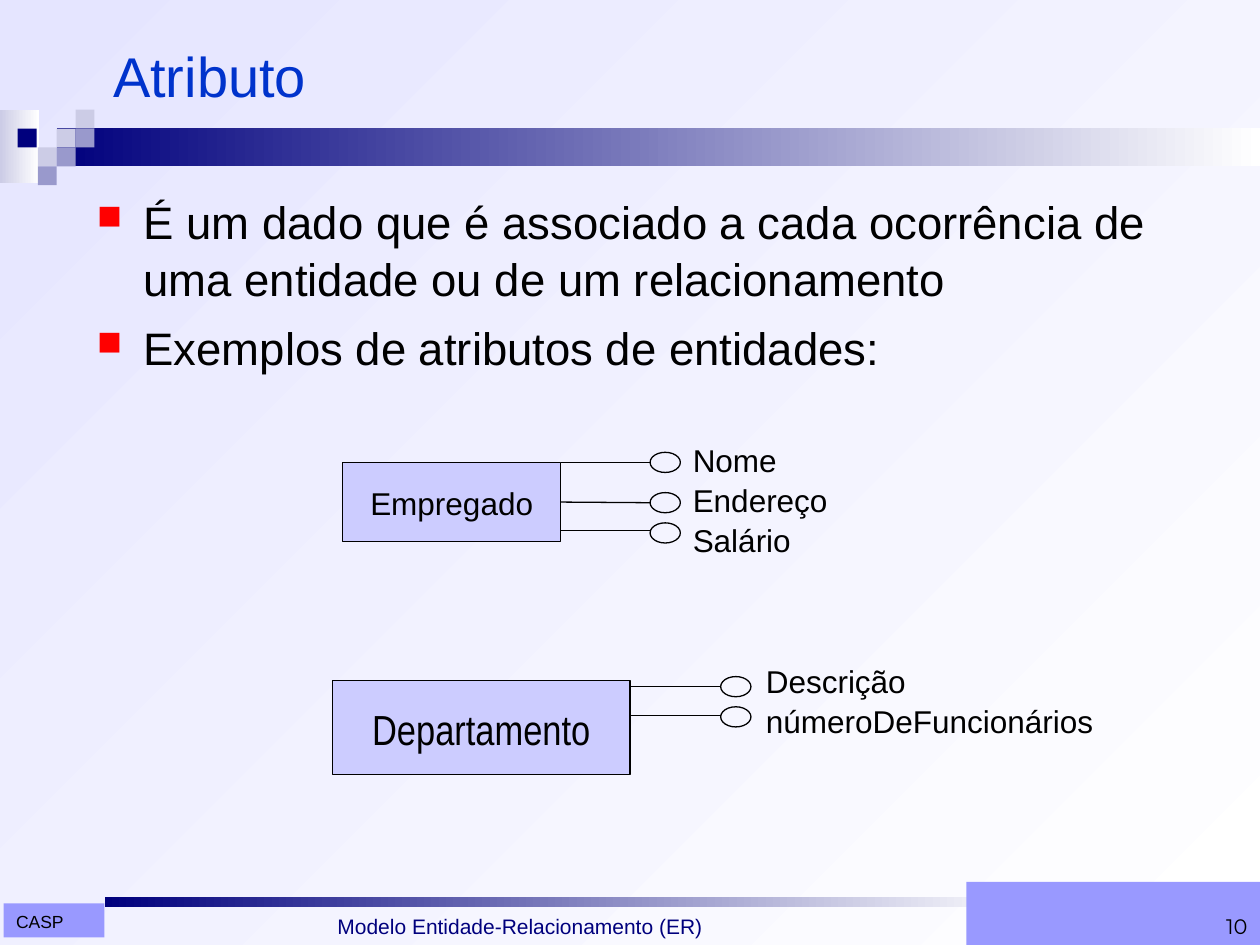
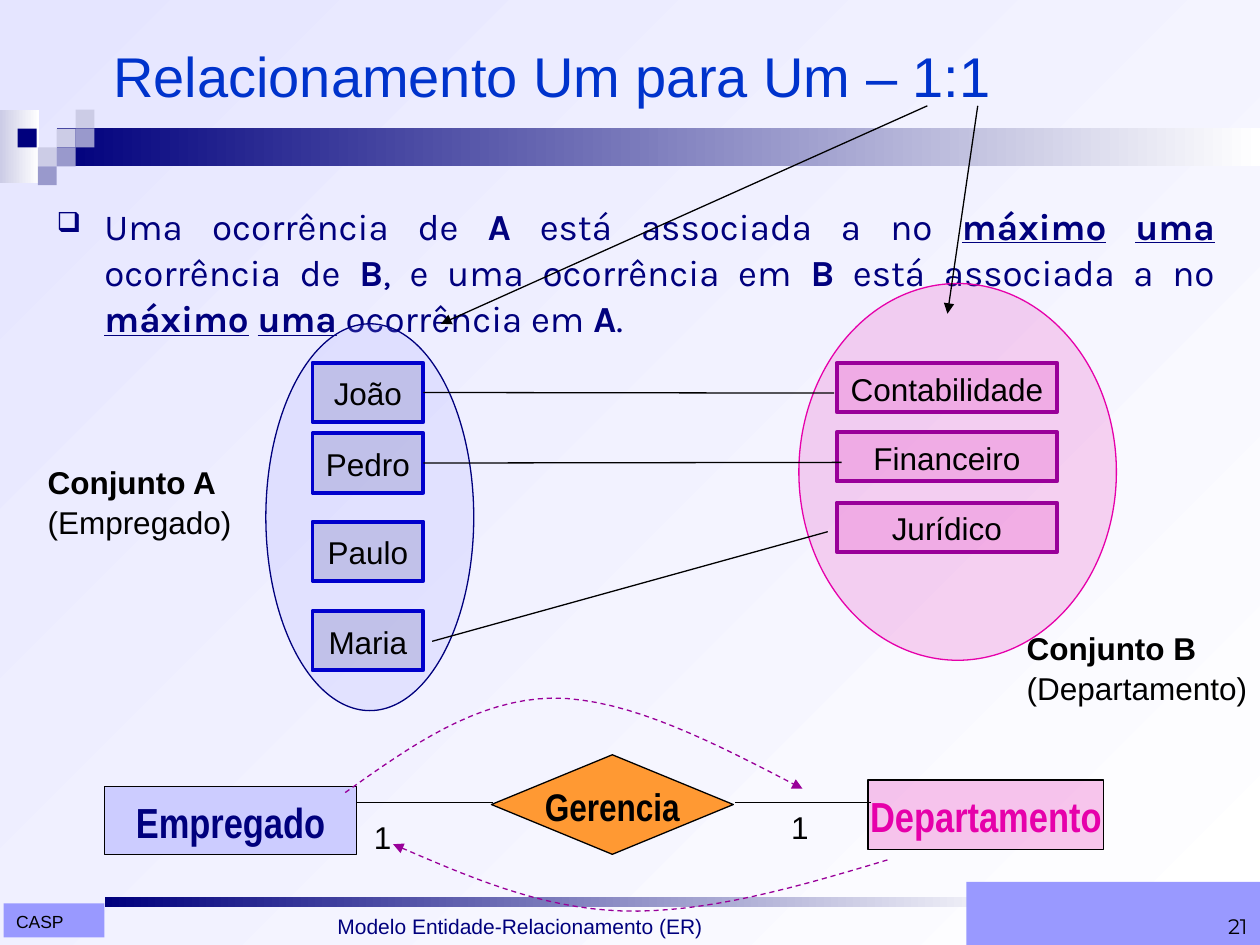
from dataclasses import dataclass

from lxml.etree import SubElement
from pptx import Presentation
from pptx.dml.color import RGBColor
from pptx.enum.dml import MSO_LINE
from pptx.enum.shapes import MSO_CONNECTOR, MSO_SHAPE
from pptx.enum.text import MSO_ANCHOR, MSO_AUTO_SIZE, PP_ALIGN
from pptx.oxml.ns import qn
from pptx.util import Inches, Pt


@dataclass(frozen=True)
class Theme:
    navy: str = "00007D"
    title: str = "0033CC"
    black: str = "000000"
    white: str = "FFFFFF"
    sky: str = "E5E5FF"
    pale: str = "CCCCE6"
    steel: str = "9999CC"
    periwinkle: str = "9999FF"
    entity: str = "CCCCFF"
    blue: str = "0000CC"
    pink: str = "E600AA"
    purple: str = "990099"
    orange: str = "FF9933"
    red: str = "FF0000"
    font: str = "Arial"
    narrow: str = "Arial Narrow"
    karla: str = "Karla"
    number: str = "Montserrat"
    title_size: float = 32
    body_size: float = 26
    rule_size: float = 21
    entity_size: float = 24
    diamond_size: float = 22
    label_size: float = 18
    footer_size: float = 12
    tag_size: float = 10
    thin: float = 0.75
    thick: float = 2.25
    line_spacing: float = 1.05


THEME = Theme()
TILE = 0.15
TILES = [
    (0.45, 1.02, THEME.pale), (0.6, 0.87, THEME.pale), (0.6, 1.02, THEME.steel),
    (0.3, 1.17, THEME.pale), (0.14, 1.02, THEME.navy), (0.45, 1.17, THEME.steel),
    (0.3, 1.32, THEME.steel),
]
BANDS = [
    ((0, 0.87, 0.31, 0.58), THEME.pale),
    ((0.45, 1.02, 9.55, 0.3), THEME.navy),
    ((0.83, 7.12, 7.38, 0.08), THEME.navy),
]
TAG = "CASP"
FOOTER = "Modelo Entidade-Relacionamento (ER)"

DEFINITION = [
    "É um dado que é associado a cada ocorrência de uma entidade ou de um relacionamento",
    "Exemplos de atributos de entidades:",
]
ENTITIES = [
    {"name": "Empregado", "at": (2.72, 3.67, 1.73, 0.63), "font": THEME.font,
     "size": THEME.label_size, "line_left": 4.45, "lines": [3.67, 3.99, 4.21],
     "ovals": [3.67, 3.99, 4.23], "middle": 1,
     "attributes": ["Nome", "Endereço", "Salário"], "list_at": (5.4, 3.44, 1.27, 1)},
    {"name": "Departamento", "at": (2.64, 5.4, 2.36, 0.75), "font": THEME.narrow,
     "size": THEME.entity_size, "line_left": 5.01, "lines": [5.45, 5.68],
     "ovals": [5.45, 5.69], "middle": None,
     "attributes": ["Descrição", "númeroDeFuncionários"], "list_at": (5.98, 5.19, 2.8, 0.7)},
]
LINE_LENGTH = 0.71
OVAL = (0.24, 0.16)

RULE = [
    ("Uma ocorrência de ", ""), ("A", "b"), (" está associada a no ", ""),
    ("máximo", "bu"), (" ", ""), ("uma", "bu"), (" ocorrência de ", ""), ("B", "b"),
    (", e uma ocorrência em ", ""), ("B", "b"), (" está associada a no ", ""),
    ("máximo", "bu"), (" ", ""), ("uma", "bu"), (" ocorrência em ", ""), ("A", "b"), (".", ""),
]
SETS = [
    {"oval": (2.11, 2.57, 1.65, 3.07), "fill": THEME.periwinkle, "alpha": 17, "edge": THEME.navy,
     "left": 2.48, "size": (0.88, 0.47), "member_fill": THEME.steel, "member_alpha": 43,
     "member_edge": THEME.blue,
     "members": [("João", 2.88), ("Pedro", 3.44), ("Paulo", 4.14), ("Maria", 4.85)],
     "label": ("Conjunto A", "(Empregado)"), "label_at": (0.28, 3.61, 1.66, 0.7)},
    {"oval": (6.34, 2.25, 2.52, 2.99), "fill": THEME.pink, "alpha": 16, "edge": THEME.pink,
     "left": 6.64, "size": (1.75, 0.39), "member_fill": THEME.pink, "member_alpha": 16,
     "member_edge": THEME.purple,
     "members": [("Contabilidade", 2.88), ("Financeiro", 3.43), ("Jurídico", 3.99)],
     "label": ("Conjunto B", "(Departamento)"), "label_at": (8.05, 4.93, 1.95, 0.7)},
]
PAIRS = [
    ("João", (3.35, 3.12), (6.62, 3.12)),
    ("Pedro", (3.35, 3.67), (6.68, 3.67)),
    (None, (3.43, 5.09), (6.57, 4.22)),
]
TITLE_ARROWS = [((7.36, 0.84), (3.5, 2.57)), ((7.76, 0.84), (7.52, 2.49))]
RELATIONSHIP = [
    (MSO_SHAPE.RECTANGLE, "Empregado", (0.83, 6.24, 2, 0.54),
     THEME.entity, None, THEME.navy, THEME.entity_size),
    (MSO_SHAPE.RECTANGLE, "Departamento", (6.89, 6.19, 1.87, 0.55),
     THEME.pink, 22, THEME.pink, THEME.entity_size),
    (MSO_SHAPE.FLOWCHART_DECISION, "Gerencia", (3.9, 5.99, 1.92, 0.79),
     THEME.orange, None, THEME.black, THEME.diamond_size),
]
RELATIONSHIP_LINES = [((6.91, 6.37), (5.83, 6.37)), ((2.83, 6.37), (3.91, 6.37))]
CARDINALITIES = [(6.18, 6.35, 0.34, 0.4), (2.87, 6.43, 0.34, 0.4)]
CURVES = [
    ([(2.74, 6.29), (3.26, 5.92), (3.78, 5.55), (4.39, 5.54),
      (4.99, 5.54), (5.68, 5.9), (6.37, 6.26)], "tailEnd"),
    ([(3.12, 6.7), (3.7, 6.95), (4.28, 7.21), (4.94, 7.23),
      (5.6, 7.25), (6.33, 7.04), (7.06, 6.82)], "headEnd"),
]
CURVE_STEPS = 16


def color(value):
    return RGBColor.from_string(value)


def inches(values):
    return [Inches(value) for value in values]


def shade(fill, start, end, angle):
    fill.gradient()
    fill.gradient_angle = angle
    for stop, value in zip(fill.gradient_stops, (start, end)):
        stop.color.rgb = color(value)


def stroke(shape, value, width=THEME.thin, arrow=None):
    shape.line.color.rgb = color(value)
    shape.line.width = Pt(width)
    if arrow:
        SubElement(shape.line._get_or_add_ln(), qn(f"a:{arrow}"), type="triangle")


def add_box(page, at, fill=None, edge=None, width=THEME.thin, alpha=None,
            kind=MSO_SHAPE.RECTANGLE):
    box = page.shapes.add_shape(kind, *inches(at))
    box.shadow.inherit = False
    if fill:
        box.fill.solid()
        box.fill.fore_color.rgb = color(fill)
    else:
        box.fill.background()
    if alpha:
        solid = box._element.spPr.find(qn("a:solidFill"))
        SubElement(solid[0], qn("a:alpha"), val=str(alpha * 1000))
    if edge:
        stroke(box, edge, width)
    else:
        box.line.fill.background()
    return box


def add_line(page, start, end, arrow=None):
    line = page.shapes.add_connector(MSO_CONNECTOR.STRAIGHT, *inches(start + end))
    SubElement(line._element.spPr, qn("a:effectLst"))
    stroke(line, THEME.black, arrow=arrow)
    return line


def write(box, paras, size=THEME.label_size, font=THEME.font, ink=THEME.black, bold=False,
          align=PP_ALIGN.LEFT, anchor=MSO_ANCHOR.TOP, wrap=False):
    frame = box.text_frame
    frame.word_wrap = wrap
    frame.vertical_anchor = anchor
    for index, content in enumerate(paras):
        para = frame.add_paragraph() if index else frame.paragraphs[0]
        para.alignment = align
        para.line_spacing = THEME.line_spacing
        spans = [(content, "b" if bold else "")] if isinstance(content, str) else content
        for text, style in spans:
            span = para.add_run()
            span.text = text
            span.font.size = Pt(size)
            span.font.name = font
            span.font.color.rgb = color(ink)
            span.font.bold = "b" in style
            span.font.underline = "u" in style
    return frame


def add_text(page, at, paras, **style):
    box = page.shapes.add_textbox(*inches(at))
    return write(box, paras, **style)


def add_label(page, at, paras):
    add_text(page, at, paras).auto_size = MSO_AUTO_SIZE.SHAPE_TO_FIT_TEXT


def write_centered(box, text, **style):
    write(box, [text], align=PP_ALIGN.CENTER, anchor=MSO_ANCHOR.MIDDLE, **style)


def add_bullets(frame, symbol, ink, indent, space=0):
    for index, para in enumerate(frame.paragraphs):
        if index:
            para.space_before = Pt(space)
        props = para._p.get_or_add_pPr()
        props.set("marL", str(Inches(indent)))
        props.set("indent", str(-Inches(indent)))
        SubElement(SubElement(props, qn("a:buClr")), qn("a:srgbClr"), val=ink)
        SubElement(props, qn("a:buSzPct"), val="75000")
        SubElement(props, qn("a:buChar"), char=symbol)


def add_curve(page, points, arrow):
    track = [points[0]]
    for first in range(0, len(points) - 1, 3):
        a, b, c, d = points[first:first + 4]
        for step in range(1, CURVE_STEPS + 1):
            t = step / CURVE_STEPS
            weights = ((1 - t) ** 3, 3 * t * (1 - t) ** 2, 3 * t * t * (1 - t), t ** 3)
            track.append(tuple(sum(w * p[axis] for w, p in zip(weights, (a, b, c, d)))
                               for axis in (0, 1)))
    builder = page.shapes.build_freeform(*inches(track[0]))
    builder.add_line_segments([inches(point) for point in track[1:]], close=False)
    curve = builder.convert_to_shape()
    curve.shadow.inherit = False
    curve.fill.background()
    curve.line.dash_style = MSO_LINE.DASH
    stroke(curve, THEME.purple, arrow=arrow)


def add_page(deck, title, number):
    page = deck.slides.add_slide(deck.slide_layouts[6])
    shade(page.background.fill, THEME.sky, THEME.white, 315)
    for at, start in BANDS:
        shade(add_box(page, at).fill, start, THEME.white, 0)
    for left, top, fill in TILES:
        add_box(page, (left, top, TILE, TILE), fill)
    write(add_box(page, (0.03, 7.17, 0.8, 0.27), THEME.periwinkle), [TAG],
          size=THEME.tag_size, wrap=True)
    add_text(page, (2.58, 6.98, 4.62, 0.52), [FOOTER], size=THEME.footer_size,
             ink=THEME.navy, anchor=MSO_ANCHOR.BOTTOM, wrap=True)
    write(add_box(page, (7.67, 7, 2.33, 0.5), THEME.periwinkle), [number],
          size=THEME.footer_size, font=THEME.number, align=PP_ALIGN.RIGHT,
          anchor=MSO_ANCHOR.BOTTOM, wrap=True)
    add_text(page, (0.8, 0.22, 9, 0.73), [title], size=THEME.title_size, ink=THEME.title,
             anchor=MSO_ANCHOR.MIDDLE, wrap=True)
    return page


def build_attributes(deck):
    page = add_page(deck, "Atributo", "10")
    frame = add_text(page, (0.67, 1.47, 9.01, 5.05), DEFINITION, size=THEME.body_size, wrap=True)
    add_bullets(frame, "■", THEME.red, 0.37, 6.5)
    for entity in ENTITIES:
        box = add_box(page, entity["at"], THEME.entity, THEME.black)
        write_centered(box, entity["name"], size=entity["size"], font=entity["font"])
        left = entity["line_left"]
        right = left + LINE_LENGTH
        for index, (y, center) in enumerate(zip(entity["lines"], entity["ovals"])):
            add_box(page, (right, center - OVAL[1] / 2, *OVAL), edge=THEME.black,
                    kind=MSO_SHAPE.OVAL)
            line = add_line(page, (left, y), (right, y))
            if index == entity["middle"]:
                line.begin_connect(box, 3)
        add_label(page, entity["list_at"], entity["attributes"])


def build_one_to_one(deck):
    page = add_page(deck, "Relacionamento Um para Um – 1:1", "21")
    frame = add_text(page, (0.35, 1.55, 9.39, 1.57), [RULE], size=THEME.rule_size,
                     font=THEME.karla, ink=THEME.navy, align=PP_ALIGN.JUSTIFY, wrap=True)
    add_bullets(frame, "❑", THEME.navy, 0.38)
    for group in SETS:
        add_box(page, group["oval"], group["fill"], group["edge"], alpha=group["alpha"],
                kind=MSO_SHAPE.OVAL)
    members = {}
    for group in SETS:
        for name, top in group["members"]:
            members[name] = add_box(page, (group["left"], top, *group["size"]),
                                    group["member_fill"], group["member_edge"], THEME.thick,
                                    group["member_alpha"])
            write_centered(members[name], name)
        heading, entity = group["label"]
        add_label(page, group["label_at"], [[(heading, "b")], entity])
    for name, start, end in PAIRS:
        line = add_line(page, start, end)
        if name:
            line.begin_connect(members[name], 3)
    for kind, name, at, fill, alpha, ink, size in RELATIONSHIP:
        box = add_box(page, at, fill, THEME.black, alpha=alpha, kind=kind)
        write_centered(box, name, size=size, font=THEME.narrow, ink=ink, bold=True)
    for start, end in RELATIONSHIP_LINES:
        add_line(page, start, end)
    for at in CARDINALITIES:
        add_label(page, at, ["1"])
    for start, end in TITLE_ARROWS:
        add_line(page, start, end, arrow="tailEnd")
    for points, arrow in CURVES:
        add_curve(page, points, arrow)


def main():
    deck = Presentation()
    deck.slide_width, deck.slide_height = Inches(10), Inches(7.5)
    build_attributes(deck)
    build_one_to_one(deck)
    deck.save("out.pptx")


if __name__ == "__main__":
    main()
